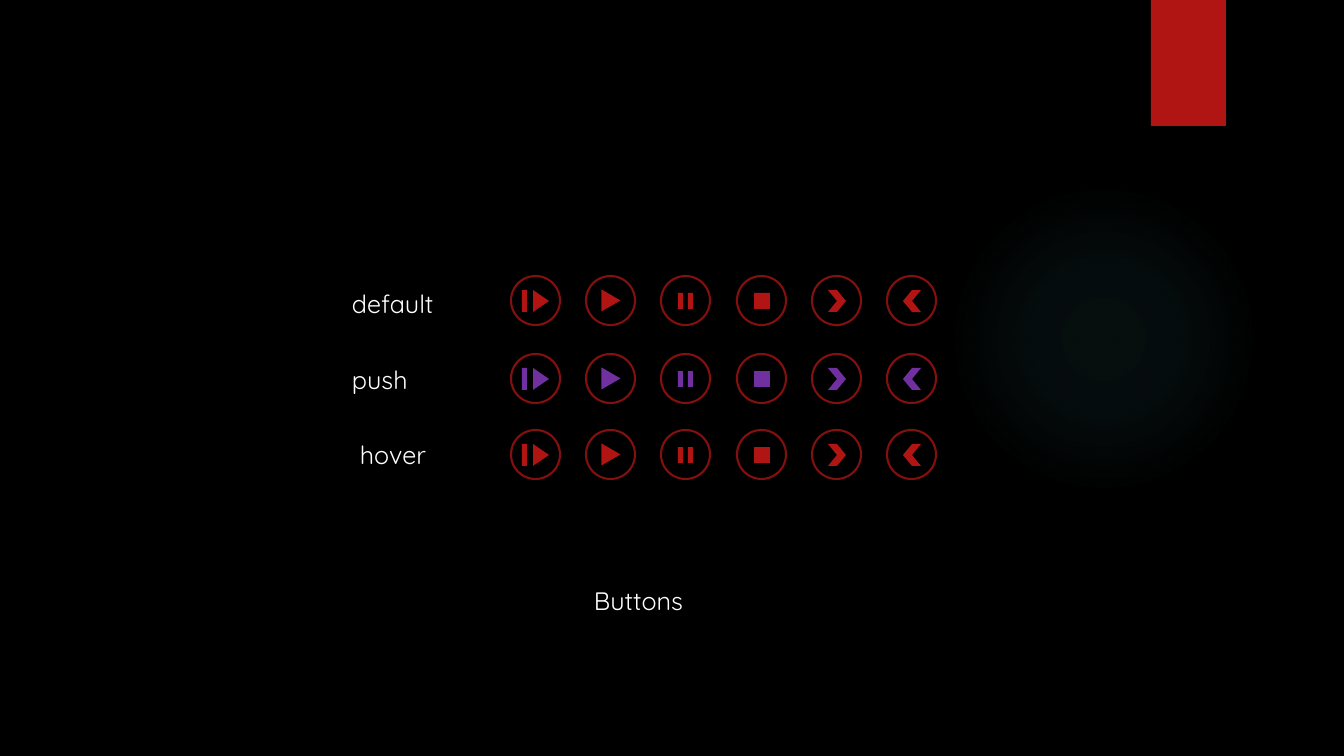
from dataclasses import dataclass

from lxml import etree
from pptx import Presentation
from pptx.dml.color import RGBColor
from pptx.enum.shapes import MSO_SHAPE
from pptx.enum.text import MSO_AUTO_SIZE
from pptx.oxml.ns import qn
from pptx.util import Pt

ELLIPSE = MSO_SHAPE.OVAL
RECTANGLE = MSO_SHAPE.RECTANGLE
TRIANGLE = MSO_SHAPE.ISOSCELES_TRIANGLE
CHEVRON = MSO_SHAPE.CHEVRON
FIT_TEXT = MSO_AUTO_SIZE.SHAPE_TO_FIT_TEXT

SLIDE_W, SLIDE_H = 1344, 756
EMU_PER_PX = 12192000 / SLIDE_W


@dataclass(frozen=True)
class Theme:
    black: str = "000000"
    white: str = "FFFFFF"
    red: str = "B01513"
    ring: str = "82100E"
    purple: str = "7030A0"
    glow: str = "50B9C1"
    font: str = "Quicksand"
    label_size: int = 18
    ring_width: float = 1.5


THEME = Theme()

# Button grid: first left edge, diameter, distance from first to last column
GRID_LEFT, DIAMETER, GRID_SPAN = 511, 49, 376

# Icon parts inside a button: shape, left, top, width, height, rotation
ICONS = [
    [(RECTANGLE, 11, 14, 5, 22, 0), (TRIANGLE, 19, 17, 22, 16, 90)],  # step
    [(TRIANGLE, 14, 15, 22, 19, 90)],  # play
    [(RECTANGLE, 17, 17, 5, 16, 0), (RECTANGLE, 27, 17, 5, 16, 0)],  # pause
    [(RECTANGLE, 17, 17, 16, 16, 0)],  # stop
    [(CHEVRON, 16, 14, 18, 22, 0)],  # next
    [(CHEVRON, 16, 14, 18, 22, 180)],  # previous
]

# State rows: label, label box, top of the buttons, icon colour
STATES = [
    ("default", (342, 283, 109, 40), 276, THEME.red),
    ("push", (342, 359, 79, 40), 354, THEME.purple),
    ("hover", (350, 434, 91, 40), 430, THEME.red),
]


def px(*lengths):
    return [round(length * EMU_PER_PX) for length in lengths]


def apply_format(target, values):
    for name, value in values.items():
        setattr(target, name, value)


def add_filled(shapes, kind, box, color, rotation=0):
    shape = shapes.add_shape(kind, *px(*box))
    shape.shadow.inherit = False
    shape.rotation = rotation
    shape.fill.solid()
    shape.fill.fore_color.rgb = RGBColor.from_string(color)
    shape.line.fill.background()
    return shape


def add_glow(shapes, box):
    glow = add_filled(shapes, ELLIPSE, box, THEME.glow)
    solid = glow.element.spPr.find(qn("a:solidFill"))
    gradient = etree.Element(qn("a:gradFill"), rotWithShape="1")
    stops = etree.SubElement(gradient, qn("a:gsLst"))
    for position, opacity in ((0, 7), (36, 6), (69, 0)):
        stop = etree.SubElement(stops, qn("a:gs"), pos=str(position * 1000))
        color = etree.SubElement(stop, qn("a:srgbClr"), val=THEME.glow)
        etree.SubElement(color, qn("a:alpha"), val=str(opacity * 1000))
    circle = etree.SubElement(gradient, qn("a:path"), path="circle")
    center = {side: "50000" for side in "ltrb"}
    etree.SubElement(circle, qn("a:fillToRect"), center)
    solid.getparent().replace(solid, gradient)


def add_button(shapes, left, top, icon, color):
    button = shapes.add_group_shape().shapes
    ring = add_filled(button, ELLIPSE, (left, top, DIAMETER, DIAMETER), THEME.black)
    ring.line.color.rgb = RGBColor.from_string(THEME.ring)
    ring.line.width = Pt(THEME.ring_width)
    for kind, dx, dy, width, height, rotation in icon:
        add_filled(button, kind, (left + dx, top + dy, width, height), color, rotation)


def add_label(shapes, text, box):
    frame = shapes.add_textbox(*px(*box)).text_frame
    apply_format(frame, {"word_wrap": False, "auto_size": FIT_TEXT})
    run = frame.paragraphs[0].add_run()
    run.text = text
    apply_format(run.font, {"name": THEME.font, "size": Pt(THEME.label_size)})
    run.font.color.rgb = RGBColor.from_string(THEME.white)


def main():
    deck = Presentation()
    deck.slide_width, deck.slide_height = px(SLIDE_W, SLIDE_H)
    slide = deck.slides.add_slide(deck.slide_layouts[6])
    shapes = slide.shapes

    # Backdrop
    slide.background.fill.solid()
    slide.background.fill.fore_color.rgb = RGBColor.from_string(THEME.black)
    add_glow(shapes, (949, 184, 310, 310))
    add_filled(shapes, RECTANGLE, (1151, 0, 75, 126), THEME.red)

    # Button states
    for label, label_box, top, color in STATES:
        add_label(shapes, label, label_box)
        for column, icon in enumerate(ICONS):
            left = GRID_LEFT + round(column * GRID_SPAN / (len(ICONS) - 1))
            add_button(shapes, left, top, icon, color)

    # Caption
    add_label(shapes, "Buttons", (584, 580, 110, 40))

    deck.save("out.pptx")


if __name__ == "__main__":
    main()
